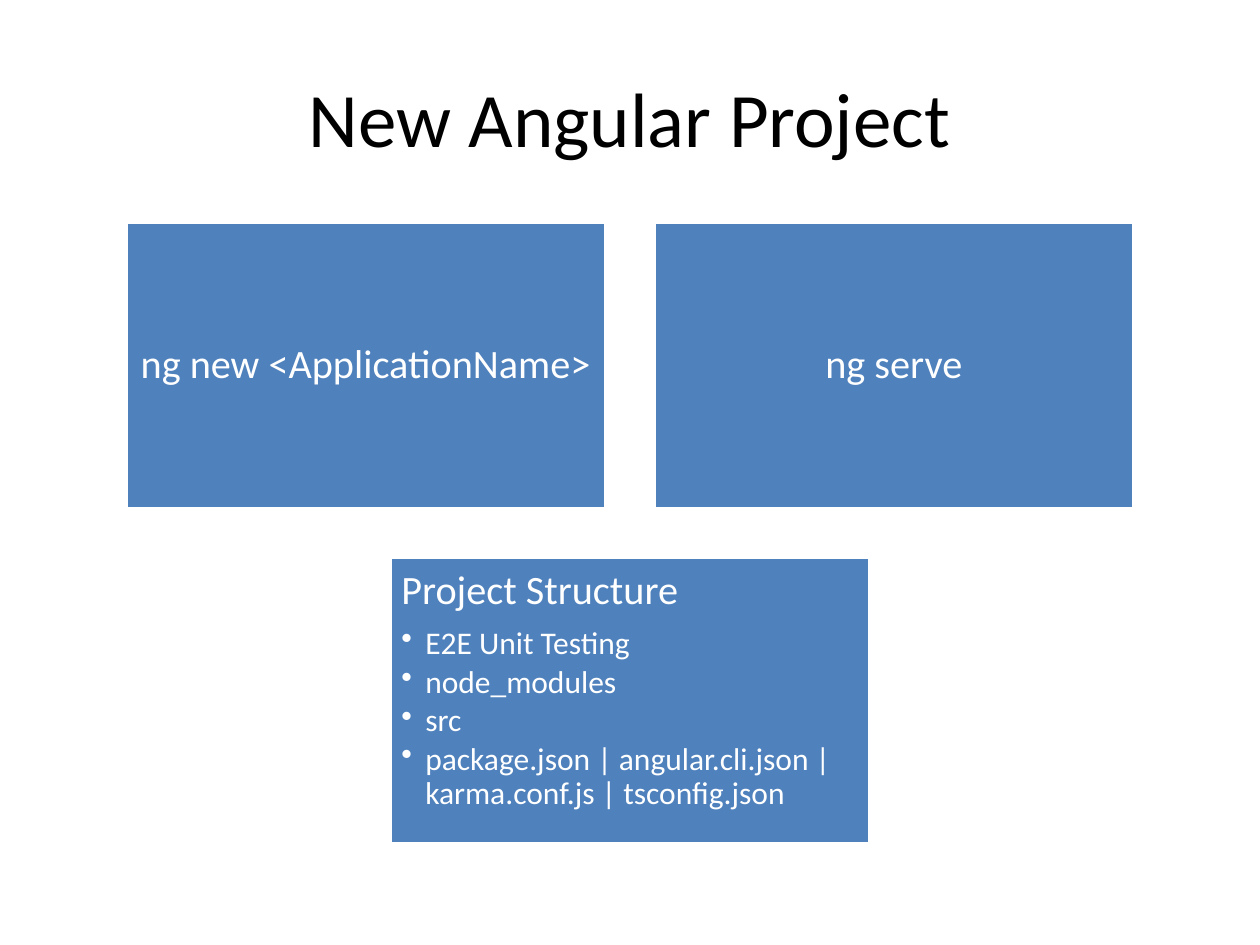
from lxml import etree
from pptx import Presentation
from pptx.dml.color import RGBColor
from pptx.enum.shapes import MSO_SHAPE
from pptx.enum.text import MSO_ANCHOR, PP_ALIGN
from pptx.oxml.ns import qn
from pptx.util import Inches, Pt

BLACK = RGBColor(0x00, 0x00, 0x00)
WHITE = RGBColor(0xFF, 0xFF, 0xFF)
BLUE = RGBColor(0x4F, 0x81, 0xBD)

FONT = "Calibri"
CARD_W, CARD_H, GAP = 3.81, 2.28, 0.38
COMMAND_SIZE, DETAIL_SIZE = 23, 18
BULLET_INDENT = 0.19

COMMANDS = ["ng new <ApplicationName>", "ng serve"]
STRUCTURE = [
    "E2E Unit Testing",
    "node_modules",
    "src",
    "package.json | angular.cli.json | karma.conf.js | tsconfig.json",
]


def add_bullet(p):
    p.level = 1
    pPr = p._p.get_or_add_pPr()
    pPr.set("marL", str(Inches(BULLET_INDENT)))
    pPr.set("indent", str(-Inches(BULLET_INDENT)))
    etree.SubElement(pPr, qn("a:buChar")).set("char", "•")


def write(tf, text, size, color=WHITE, align=PP_ALIGN.LEFT, line=None,
          after=None, bullet=False):
    """Fill the empty first paragraph, or append a new one."""
    p = tf.paragraphs[0] if not tf.text else tf.add_paragraph()
    p.alignment = align
    p.line_spacing = line
    if after is not None:
        p.space_after = Pt(after)
    if bullet:
        add_bullet(p)
    r = p.add_run()
    r.text = text
    r.font.name = FONT
    r.font.size = Pt(size)
    r.font.color.rgb = color


def add_title(s, text, x, y, w, h):
    tf = s.shapes.add_textbox(Inches(x), Inches(y), Inches(w), Inches(h)).text_frame
    tf.word_wrap = True
    tf.vertical_anchor = MSO_ANCHOR.MIDDLE
    write(tf, text, 44, BLACK, PP_ALIGN.CENTER)


def add_card(s, heading, x, y, details=()):
    """A card with a centred heading, or a heading at the top over bullets."""
    sp = s.shapes.add_shape(MSO_SHAPE.RECTANGLE, Inches(x), Inches(y),
                            Inches(CARD_W), Inches(CARD_H))
    sp.shadow.inherit = False
    sp.fill.solid()
    sp.fill.fore_color.rgb = BLUE
    sp.line.color.rgb = WHITE
    sp.line.width = Pt(2)
    tf = sp.text_frame
    tf.word_wrap = True
    tf.margin_left = tf.margin_right = Inches(0.09)
    tf.margin_top = tf.margin_bottom = Inches(0.1)
    tf.vertical_anchor = MSO_ANCHOR.TOP if details else MSO_ANCHOR.MIDDLE
    write(tf, heading, COMMAND_SIZE, line=0.9, after=0.35 * COMMAND_SIZE,
          align=PP_ALIGN.LEFT if details else PP_ALIGN.CENTER)
    for text in details:
        write(tf, text, DETAIL_SIZE, line=0.9, after=0.15 * DETAIL_SIZE, bullet=True)


def add_cards(s, x, y, w):
    """Commands side by side, with the project structure centred below."""
    for i, command in enumerate(COMMANDS):
        add_card(s, command, x + i * (CARD_W + GAP), y)
    add_card(s, "Project Structure", x + (w - CARD_W) / 2, y + CARD_H + GAP, STRUCTURE)


def main():
    prs = Presentation()
    prs.slide_width, prs.slide_height = Inches(10), Inches(7.5)
    s = prs.slides.add_slide(prs.slide_layouts[6])
    add_title(s, "New Angular Project", 0.5, 0.3, 9, 1.25)
    add_cards(s, 1, 1.76, 8)
    prs.save("out.pptx")


if __name__ == "__main__":
    main()
